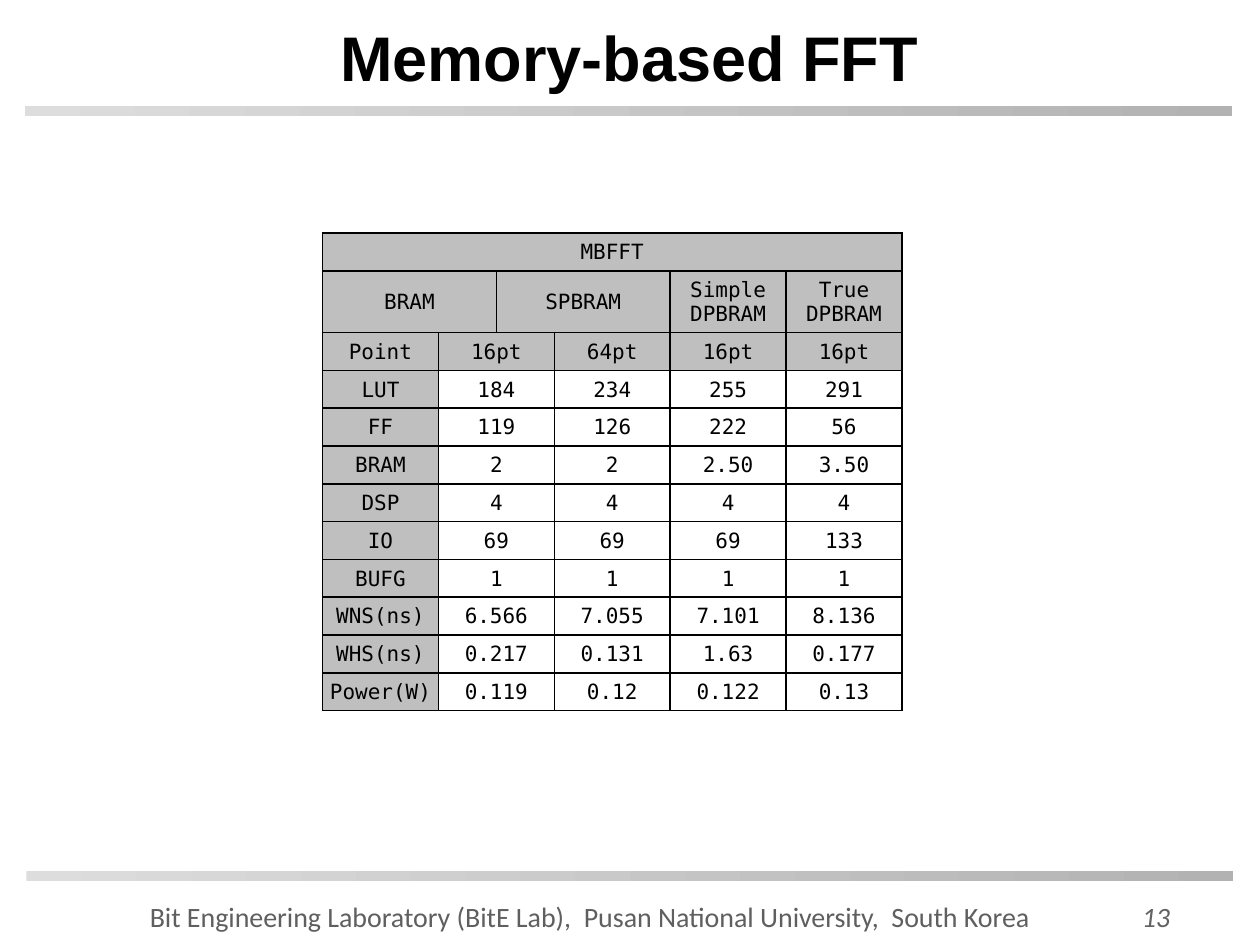
from dataclasses import dataclass

from pptx import Presentation
from pptx.dml.color import RGBColor
from pptx.enum.shapes import MSO_SHAPE as Shape
from pptx.enum.text import MSO_ANCHOR as Anchor, PP_ALIGN as Align
from pptx.oxml import parse_xml
from pptx.oxml.ns import nsdecls
from pptx.util import Inches, Pt

COLORS = {
    "text": "000000",
    "footer": "5F5F5F",
    "number": "626262",
    "bar_start": "DDDDDD",
    "bar_end": "B2B2B2",
    "header": "BFBFBF",
    "border": "000000",
}


@dataclass(frozen=True)
class Box:
    left: float
    top: float
    width: float
    height: float

    def lengths(self) -> list:
        return [Inches(n) for n in (self.left, self.top, self.width, self.height)]


@dataclass(frozen=True)
class Style:
    font: str
    size: float
    color: str
    align: Align = Align.CENTER
    bold: bool = False
    italic: bool = False


@dataclass(frozen=True)
class Label:
    text: str
    box: Box
    style: Style
    right_inset: float = 0.1


BARS = [Box(0.21, 6.91, 9.58, 0.08), Box(0.2, 0.84, 9.58, 0.08)]
TITLE_BOX = Box(0.33, 0.06, 9.33, 0.78)
TITLE_STYLE = Style("Arial", 36, "text", bold=True)
CELL_STYLE = Style("DejaVu Sans Mono", 12, "text")
FOOTERS = [
    Label("Bit Engineering Laboratory (BitE Lab),  Pusan National University,  South Korea",
          Box(1.09, 7.08, 7.28, 0.38), Style("Calibri", 16, "footer", Align.LEFT)),
    Label("13", Box(8.64, 7.09, 1.22, 0.36),
          Style("Calibri", 16, "number", italic=True), right_inset=0.25),
]

# Each row lists (text, columns spanned); data rows share one pattern
TABLE_BOX = Box(2.56, 1.85, 4.6, 3.79)
COLUMN_WIDTHS = [0.92, 0.46, 0.46, 0.92, 0.92, 0.92]
ROW_HEIGHT, TALL_ROW_HEIGHT, TALL_ROW = 0.3, 0.49, 1
HEADER_ROWS = 3
DATA_SPANS = [1, 2, 1, 1, 1]
DATA = [
    ["Point", "16pt", "64pt", "16pt", "16pt"],
    ["LUT", "184", "234", "255", "291"],
    ["FF", "119", "126", "222", "56"],
    ["BRAM", "2", "2", "2.50", "3.50"],
    ["DSP", "4", "4", "4", "4"],
    ["IO", "69", "69", "69", "133"],
    ["BUFG", "1", "1", "1", "1"],
    ["WNS(ns)", "6.566", "7.055", "7.101", "8.136"],
    ["WHS(ns)", "0.217", "0.131", "1.63", "0.177"],
    ["Power(W)", "0.119", "0.12", "0.122", "0.13"],
]
ROWS = [
    [("MBFFT", 6)],
    [("BRAM", 2), ("SPBRAM", 2), ("Simple DPBRAM", 1), ("True DPBRAM", 1)],
    *[list(zip(values, DATA_SPANS)) for values in DATA],
]


def color(name: str) -> RGBColor:
    return RGBColor.from_string(COLORS[name])


def write(text_frame, text: str, style: Style) -> None:
    paragraph = text_frame.paragraphs[0]
    paragraph.alignment = style.align
    run = paragraph.add_run()
    run.text = text
    run.font.name = style.font
    run.font.size = Pt(style.size)
    run.font.bold = style.bold
    run.font.italic = style.italic
    run.font.color.rgb = color(style.color)


def add_bar(slide, box: Box) -> None:
    shape = slide.shapes.add_shape(Shape.RECTANGLE, *box.lengths())
    shape.shadow.inherit = False
    shape.line.fill.background()
    shape.fill.gradient()
    shape.fill.gradient_angle = 0
    for stop, position, name in zip(shape.fill.gradient_stops, (0, 1), ("bar_start", "bar_end")):
        stop.position = position
        stop.color.rgb = color(name)


def add_label(slide, label: Label) -> None:
    text_frame = slide.shapes.add_textbox(*label.box.lengths()).text_frame
    text_frame.word_wrap = True
    text_frame.vertical_anchor = Anchor.MIDDLE
    text_frame.margin_right = Inches(label.right_inset)
    write(text_frame, label.text, label.style)


def format_title(slide) -> None:
    title = slide.shapes.title
    title.left, title.top, title.width, title.height = TITLE_BOX.lengths()
    title.text_frame.vertical_anchor = Anchor.MIDDLE
    write(title.text_frame, "Memory-based FFT", TITLE_STYLE)


def format_cell(cell, is_header: bool) -> None:
    properties = cell._tc.get_or_add_tcPr()
    for side in ("lnL", "lnR", "lnT", "lnB"):
        properties.append(parse_xml(
            f'<a:{side} {nsdecls("a")} w="{Pt(1)}"><a:solidFill>'
            f'<a:srgbClr val="{COLORS["border"]}"/></a:solidFill></a:{side}>'))
    if is_header:
        cell.fill.solid()
        cell.fill.fore_color.rgb = color("header")
    else:
        cell.fill.background()
    cell.vertical_anchor = Anchor.MIDDLE
    cell.margin_left = cell.margin_right = cell.margin_top = Inches(0.01)
    cell.margin_bottom = 0


def add_results_table(slide) -> None:
    table = slide.shapes.add_table(len(ROWS), len(COLUMN_WIDTHS), *TABLE_BOX.lengths()).table
    table.first_row = table.horz_banding = False
    for column, width in zip(table.columns, COLUMN_WIDTHS):
        column.width = Inches(width)
    for r, entries in enumerate(ROWS):
        table.rows[r].height = Inches(TALL_ROW_HEIGHT if r == TALL_ROW else ROW_HEIGHT)
        for c in range(len(COLUMN_WIDTHS)):
            format_cell(table.cell(r, c), r < HEADER_ROWS or c == 0)
        start = 0
        for text, span in entries:
            cell = table.cell(r, start)
            if span > 1:
                cell.merge(table.cell(r, start + span - 1))
            write(cell.text_frame, text, CELL_STYLE)
            start += span


def main() -> None:
    presentation = Presentation()
    presentation.slide_width, presentation.slide_height = Inches(10), Inches(7.5)
    slide = presentation.slides.add_slide(presentation.slide_layouts[5])

    # Frame: bars, footer and page number
    for box in BARS:
        add_bar(slide, box)
    for label in FOOTERS:
        add_label(slide, label)

    # Content
    format_title(slide)
    add_results_table(slide)
    presentation.save("out.pptx")


if __name__ == "__main__":
    main()
